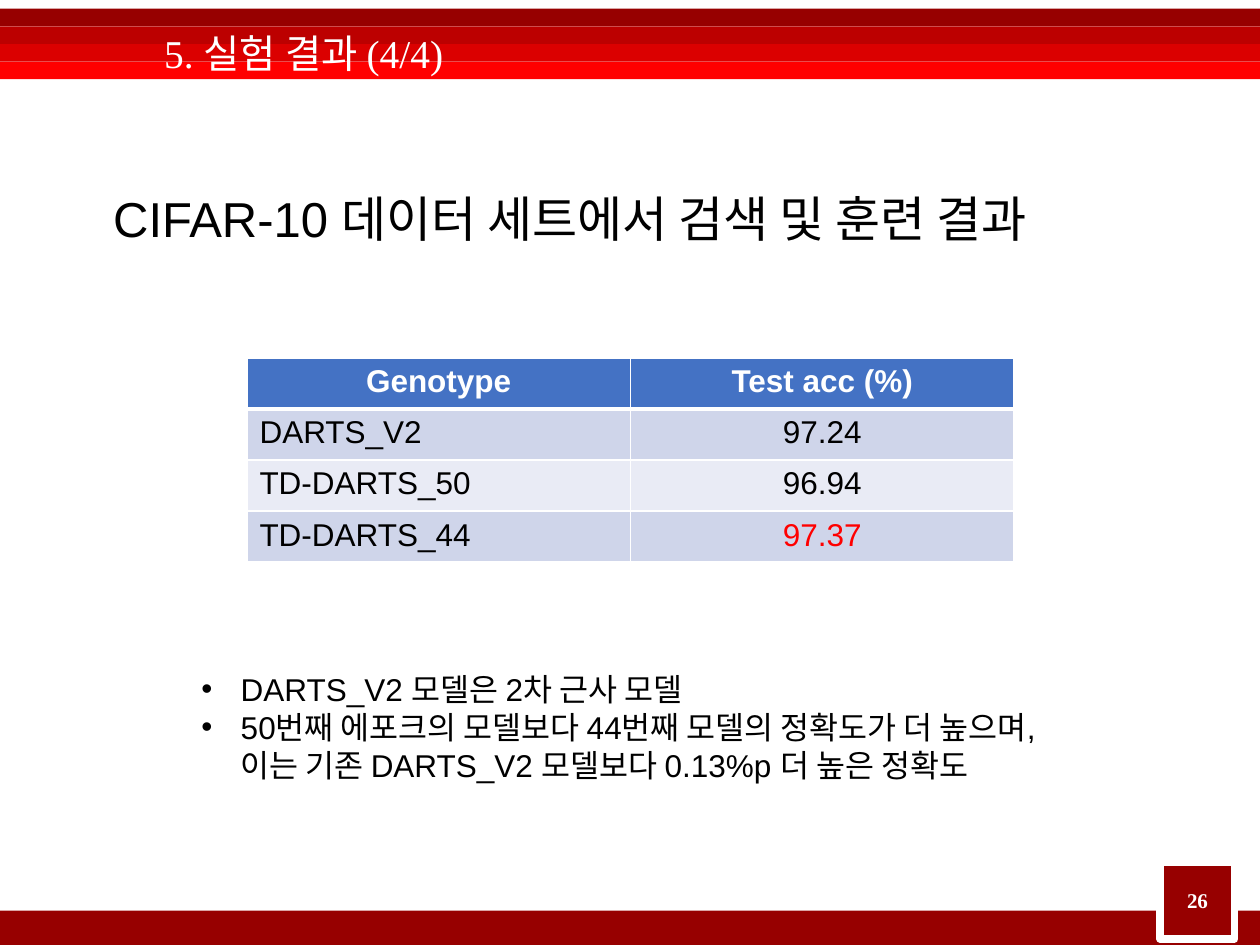
from lxml import etree
from pptx import Presentation
from pptx.dml.color import RGBColor
from pptx.enum.shapes import MSO_SHAPE
from pptx.enum.text import MSO_ANCHOR, MSO_AUTO_SIZE, PP_ALIGN
from pptx.oxml import parse_xml
from pptx.oxml.ns import nsdecls, qn
from pptx.util import Pt

DARK_RED = "970000"


def add_band(left, top, width, height, color):
    """Add a plain filled rectangle."""
    band = slide.shapes.add_shape(
        MSO_SHAPE.RECTANGLE, Pt(left), Pt(top), Pt(width), Pt(height))
    band.shadow.inherit = False
    band.fill.solid()
    band.fill.fore_color.rgb = RGBColor.from_string(color)
    band.line.fill.background()
    return band


def add_run(paragraph, text, size, color="000000", font="Arial", bold=False):
    run = paragraph.add_run()
    run.text = text
    run.font.size = Pt(size)
    run.font.name = font
    run.font.bold = bold
    run.font.color.rgb = RGBColor.from_string(color)
    return run


presentation = Presentation()
presentation.slide_width, presentation.slide_height = Pt(720), Pt(540)
slide = presentation.slides.add_slide(presentation.slide_layouts[5])

# Header and footer bands
for index, color in enumerate([DARK_RED, "BC0000", "DB0000", "FF0000"]):
    add_band(0, 5 + 10.1 * index, 720, 10, color)
add_band(0, 520.4, 720, 19.6, DARK_RED)

# Title, moved in front of the bands
title = slide.shapes.title
slide.shapes.element.append(title.element)
title.left, title.top, title.width, title.height = Pt(52), Pt(6), Pt(510), Pt(40)
frame = title.text_frame
frame.auto_size = MSO_AUTO_SIZE.NONE
frame.vertical_anchor = MSO_ANCHOR.MIDDLE
frame.margin_left = frame.margin_right = Pt(5.8)
frame.margin_top = frame.margin_bottom = Pt(3)
paragraph = frame.paragraphs[0]
paragraph.alignment = PP_ALIGN.LEFT
paragraph.line_spacing = 1.3
properties = paragraph._p.get_or_add_pPr()
properties.set("marL", str(Pt(36)))
properties.set("indent", "0")
run = add_run(paragraph, "5. 실험 결과 (4/4)", 22.5, "FFFFFF", "Times New Roman")
run.font._element.find(qn("a:solidFill")).addnext(parse_xml(
    f'<a:effectLst {nsdecls("a")}><a:outerShdw blurRad="38100" dist="38100" dir="2700000">'
    '<a:srgbClr val="000000"><a:alpha val="43000"/></a:srgbClr>'
    '</a:outerShdw></a:effectLst>'))

# Subtitle
subtitle = slide.shapes.add_textbox(Pt(57.6), Pt(104.4), Pt(624), Pt(41))
subtitle.text_frame.word_wrap = True
add_run(subtitle.text_frame.paragraphs[0],
        "CIFAR-10 데이터 세트에서 검색 및 훈련 결과", 28)

# Accuracy table
rows = [
    ("Genotype", "Test acc (%)"),
    ("DARTS_V2", "97.24"),
    ("TD-DARTS_50", "96.94"),
    ("TD-DARTS_44", "97.37"),
]
row_fills = ["4472C4", "CFD5EA", "E9EBF5", "CFD5EA"]
table = slide.shapes.add_table(
    len(rows), 2, Pt(141.1), Pt(204.5), Pt(438.4), Pt(116.8)).table
for row_index, row in enumerate(rows):
    is_header = row_index == 0
    for column_index, text in enumerate(row):
        cell = table.cell(row_index, column_index)
        cell_properties = cell._tc.get_or_add_tcPr()
        for side in "LRTB":
            thick = (is_header and side == "B") or (row_index == 1 and side == "T")
            border = etree.SubElement(
                cell_properties, qn(f"a:ln{side}"), w=str(Pt(3 if thick else 1)))
            border_fill = etree.SubElement(border, qn("a:solidFill"))
            etree.SubElement(border_fill, qn("a:srgbClr"), val="FFFFFF")
        cell.fill.solid()
        cell.fill.fore_color.rgb = RGBColor.from_string(row_fills[row_index])
        paragraph = cell.text_frame.paragraphs[0]
        if is_header or column_index == 1:
            paragraph.alignment = PP_ALIGN.CENTER
        if is_header:
            color = "FFFFFF"
        else:
            color = "FF0000" if text == "97.37" else "000000"
        add_run(paragraph, text, 18, color, bold=is_header)

# Findings
findings = slide.shapes.add_textbox(Pt(108), Pt(379.4), Pt(523.4), Pt(94))
frame = findings.text_frame
frame.word_wrap = True
for index, text in enumerate([
    "DARTS_V2 모델은 2차 근사 모델",
    "50번째 에포크의 모델보다 44번째 모델의 정확도가 더 높으며, "
    "이는 기존 DARTS_V2 모델보다 0.13%p 더 높은 정확도",
]):
    paragraph = frame.add_paragraph() if index else frame.paragraphs[0]
    properties = paragraph._p.get_or_add_pPr()
    properties.set("marL", str(Pt(22.5)))
    properties.set("indent", str(-Pt(22.5)))
    etree.SubElement(properties, qn("a:buFont"), typeface="Arial")
    etree.SubElement(properties, qn("a:buChar"), char="•")
    add_run(paragraph, text, 18)

# Page number
badge = add_band(663, 492.5, 42.5, 44, DARK_RED)
badge.line.color.rgb = RGBColor.from_string("FFFFFF")
badge.line.width = Pt(4.5)
page_number = slide.shapes.add_textbox(Pt(668.8), Pt(503.5), Pt(31), Pt(21.6))
frame = page_number.text_frame
frame.vertical_anchor = MSO_ANCHOR.MIDDLE
frame.paragraphs[0].alignment = PP_ALIGN.CENTER
add_run(frame.paragraphs[0], "26", 12, "FFFFFF", "Times New Roman", bold=True)

presentation.save("out.pptx")
